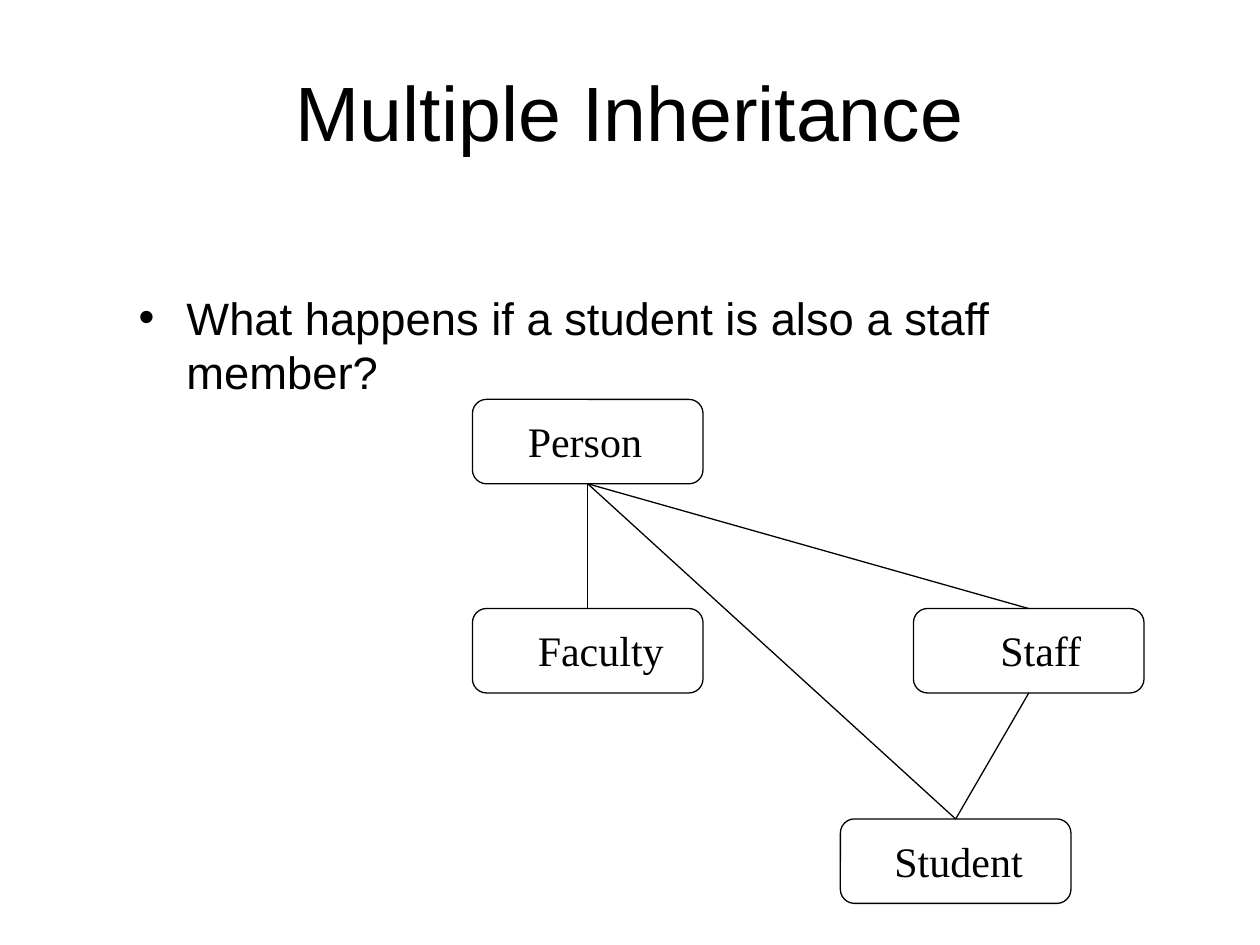
from dataclasses import dataclass

import pptx
import pptx.dml.color
import pptx.enum.shapes
import pptx.enum.text
import pptx.oxml
import pptx.oxml.ns
import pptx.util

Inches = pptx.util.Inches
Pt = pptx.util.Pt
ANCHOR = pptx.enum.text.MSO_ANCHOR
ALIGN = pptx.enum.text.PP_ALIGN


@dataclass(frozen=True)
class Theme:
    ink: pptx.dml.color.RGBColor = pptx.dml.color.RGBColor(0, 0, 0)
    heading_font: str = "Arial"
    label_font: str = "Times New Roman"
    title_size: float = 44
    body_size: float = 25.9
    label_size: float = 24
    line_width: float = 0.75


THEME = Theme()
NODE_WIDTH, NODE_HEIGHT = 1.83, 0.67
LABEL_HEIGHT = 0.5

# Name: node left and top, then label offset and width
NODES = {
    "Student": (2.92, 3.33, 0.33, 1.22),
    "Staff": (3.5, 1.66, 0.59, 0.85),
    "Faculty": (0, 1.66, 0.42, 1.2),
    "Person": (0, 0, 0.34, 1.11),
}
LINKS = [("Person", "Student"), ("Person", "Faculty"),
         ("Person", "Staff"), ("Staff", "Student")]


def write_text(shape, text, *, font, size, align=ALIGN.LEFT,
               anchor=ANCHOR.TOP, wrap=True):
    frame = shape.text_frame
    frame.auto_size = pptx.enum.text.MSO_AUTO_SIZE.NONE
    frame.word_wrap = wrap
    frame.vertical_anchor = anchor
    paragraph = frame.paragraphs[0]
    paragraph.alignment = align
    run = paragraph.add_run()
    run.text = text
    run.font.name = font
    run.font.size = Pt(size)
    run.font.color.rgb = THEME.ink
    return paragraph


def place(shape, left, top, width, height):
    shape.left, shape.top = Inches(left), Inches(top)
    shape.width, shape.height = Inches(width), Inches(height)


def add_title(slide, box):
    title = slide.shapes.title
    place(title, *box)
    write_text(title, "Multiple Inheritance", font=THEME.heading_font,
               size=THEME.title_size, align=ALIGN.CENTER, anchor=ANCHOR.MIDDLE)


def add_question(slide, box):
    body = slide.placeholders[1]
    place(body, *box)
    paragraph = write_text(body, "What happens if a student is also a staff member?",
                           font=THEME.heading_font, size=THEME.body_size)
    paragraph.space_before = Pt(7)
    # Hanging bullet
    properties = paragraph._p.get_or_add_pPr()
    properties.set("marL", str(Inches(0.38)))
    properties.set("indent", str(Inches(-0.38)))
    bullet = pptx.oxml.parse_xml(
        f'<a:buChar {pptx.oxml.ns.nsdecls("a")} char="•"/>')
    properties.append(bullet)


def add_link(slide, start, end):
    points = [Inches(value) for value in (*start, *end)]
    link = slide.shapes.add_connector(
        pptx.enum.shapes.MSO_CONNECTOR.STRAIGHT, *points)
    link.line.color.rgb = THEME.ink
    link.line.width = Pt(THEME.line_width)
    link._element.spPr.append(pptx.oxml.parse_xml(
        f'<a:effectLst {pptx.oxml.ns.nsdecls("a")}/>'))


def add_node(slide, left, top):
    node = slide.shapes.add_shape(
        pptx.enum.shapes.MSO_SHAPE.FLOWCHART_ALTERNATE_PROCESS,
        Inches(left), Inches(top), Inches(NODE_WIDTH), Inches(NODE_HEIGHT))
    node.shadow.inherit = False
    node.fill.background()
    node.line.color.rgb = THEME.ink
    node.line.width = Pt(THEME.line_width)


def add_label(slide, text, left, top, width):
    label = slide.shapes.add_textbox(
        Inches(left), Inches(top), Inches(width), Inches(LABEL_HEIGHT))
    write_text(label, text, font=THEME.label_font, size=THEME.label_size, wrap=False)


def add_class_diagram(slide, left, top):
    # Class boxes
    for x, y, _, _ in NODES.values():
        add_node(slide, left + x, top + y)
    # Inheritance lines, from bottom centre to top centre
    for parent, child in LINKS:
        parent_x, parent_y = NODES[parent][:2]
        child_x, child_y = NODES[child][:2]
        middle = left + NODE_WIDTH / 2
        add_link(slide, (middle + parent_x, top + parent_y + NODE_HEIGHT),
                 (middle + child_x, top + child_y))
    # Class names
    for name, (x, y, offset, width) in NODES.items():
        add_label(slide, name, left + x + offset, top + y + 0.08, width)


def main():
    presentation = pptx.Presentation()
    presentation.slide_width = Inches(10)
    presentation.slide_height = Inches(7.5)
    slide = presentation.slides.add_slide(presentation.slide_layouts[1])
    add_title(slide, (0.75, 0.25, 8.5, 1.25))
    add_question(slide, (1, 2.25, 8.5, 0.97))
    add_class_diagram(slide, 3.75, 3.17)
    presentation.save("out.pptx")


if __name__ == "__main__":
    main()
